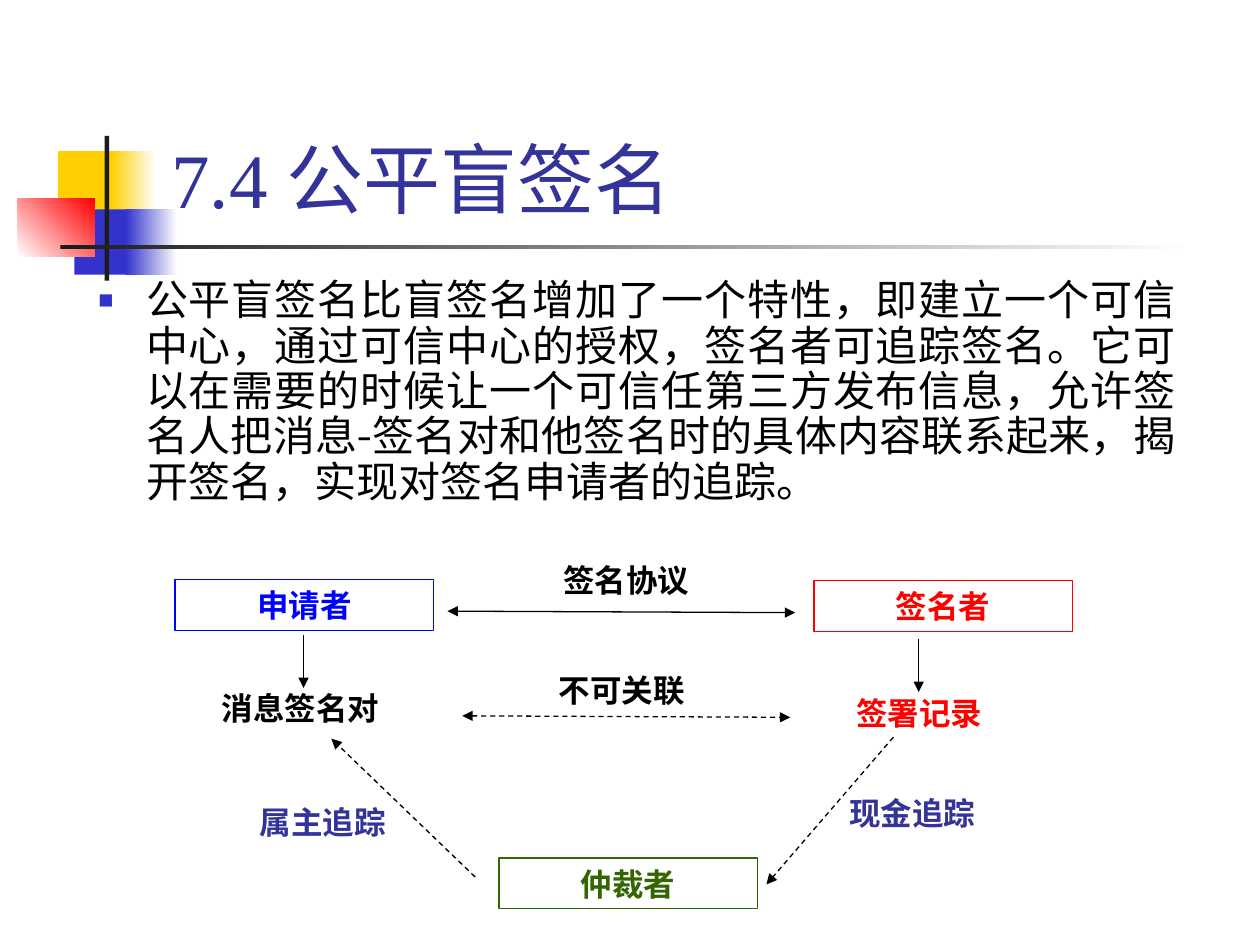
import pptx
import pptx.dml.color
import pptx.enum.dml
import pptx.enum.shapes
import pptx.enum.text
import pptx.oxml
import pptx.oxml.ns
import pptx.util
from lxml import etree

Cm, Pt = pptx.util.Cm, pptx.util.Pt
qn = pptx.oxml.ns.qn
ALIGN = pptx.enum.text.PP_ALIGN
ANCHOR = pptx.enum.text.MSO_ANCHOR
AUTOSIZE = pptx.enum.text.MSO_AUTO_SIZE
RECTANGLE = pptx.enum.shapes.MSO_SHAPE.RECTANGLE

INDIGO, BLACK, WHITE, RED = "333399", "000000", "FFFFFF", "FF0000"
YELLOW, BLUE, CHARCOAL = "FFCF01", "3333CC", "1C1C1C"
SERIF, SANS, KARLA = "Times New Roman", "Arial", "Karla"


def colour(value):
    """Turn a hex string into a colour."""
    return pptx.dml.color.RGBColor.from_string(value)


def place(part, box):
    """Move a part to a (left, top, width, height) box in cm."""
    part.left, part.top, part.width, part.height = map(Cm, box)


def add_run(paragraph, text, font, size, hue, bold=False):
    """Add one formatted run."""
    run = paragraph.add_run()
    run.text = text
    run.font.name, run.font.size, run.font.bold = font, Pt(size), bold
    run.font.color.rgb = colour(hue)


def add_panel(slide, box):
    """Add a rectangle without shadow or line."""
    panel = slide.shapes.add_shape(RECTANGLE, *map(Cm, box))
    panel.shadow.inherit = False
    panel.line.fill.background()
    return panel


def fill_ornament(panel, hues, angle):
    """Fill a panel with one colour or with a two-colour gradient."""
    if len(hues) == 1:
        panel.fill.solid()
        panel.fill.fore_color.rgb = colour(hues[0])
        return
    panel.fill.gradient()
    panel.fill.gradient_angle = angle
    for stop, hue, position in zip(panel.fill.gradient_stops, hues, (0, 1)):
        stop.color.rgb = colour(hue)
        stop.position = position


def add_ornament(slide, left, top):
    """Draw the coloured squares and the two rules beside the title."""
    ornaments = [
        ((0.81, 0.31, 1.22, 1.32), (YELLOW,), 0),
        ((1.88, 0.31, 0.91, 1.32), (YELLOW, WHITE), 0),
        ((1.14, 1.48, 1.17, 1.32), (BLUE,), 0),
        ((2.18, 1.48, 1.02, 1.32), (BLUE, WHITE), 0),
        ((0, 1.27, 1.55, 1.17), (WHITE, RED), 45),
        ((1.75, 0, 0.09, 2.92), (CHARCOAL,), 0),
        ((0.86, 2.2, 22.86, 0.09), (CHARCOAL, WHITE), 0),
    ]
    for (x, y, width, height), hues, angle in ornaments:
        panel = add_panel(slide, (left + x, top + y, width, height))
        fill_ornament(panel, hues, angle)


def add_title(slide, box):
    """Set the heading in the title placeholder."""
    heading = slide.shapes.title
    place(heading, box)
    frame = heading.text_frame
    frame.auto_size = AUTOSIZE.NONE
    frame.vertical_anchor = ANCHOR.BOTTOM
    frame.paragraphs[0].alignment = ALIGN.LEFT
    add_run(frame.paragraphs[0], "7.4 公平盲签名", SERIF, 44, INDIGO)


def add_definition(slide, box):
    """Set the bulleted definition in the body placeholder."""
    definition = slide.placeholders[1]
    place(definition, box)
    definition.text_frame.auto_size = AUTOSIZE.NONE
    paragraph = definition.text_frame.paragraphs[0]
    paragraph.alignment = ALIGN.JUSTIFY
    paragraph.line_spacing = 0.9
    paragraph.space_before = Pt(6)
    add_run(
        paragraph,
        "公平盲签名比盲签名增加了一个特性，即建立一个可信中心，"
        "通过可信中心的授权，签名者可追踪签名。它可以在需要的时候"
        "让一个可信任第三方发布信息，允许签名人把消息-签名对和他"
        "签名时的具体内容联系起来，揭开签名，实现对签名申请者的追踪。",
        KARLA, 24, BLACK,
    )
    properties = paragraph._p.get_or_add_pPr()
    properties.set("marL", str(Cm(0.96)))
    properties.set("indent", str(-Cm(0.96)))
    bullet_hue = etree.SubElement(properties, qn("a:buClr"))
    etree.SubElement(bullet_hue, qn("a:srgbClr")).set("val", BLUE)
    etree.SubElement(properties, qn("a:buSzPct")).set("val", "60000")
    etree.SubElement(properties, qn("a:buFont")).set("typeface", SANS)
    etree.SubElement(properties, qn("a:buChar")).set("char", "■")


def write_label(part, text, hue, font=SERIF, inset=True):
    """Write a bold label: centred with insets, or flush left without."""
    frame = part.text_frame
    frame.word_wrap = True
    frame.auto_size = AUTOSIZE.SHAPE_TO_FIT_TEXT
    frame.vertical_anchor = ANCHOR.TOP
    frame.margin_left = frame.margin_right = Cm(0.25 if inset else 0)
    frame.margin_top = frame.margin_bottom = Cm(0.13 if inset else 0)
    paragraph = frame.paragraphs[0]
    paragraph.alignment = ALIGN.CENTER if inset else ALIGN.LEFT
    if inset:
        paragraph.space_before = Pt(11.2)
    add_run(paragraph, text, font, 18, hue, bold=True)


def add_arrow(slide, start, end, dashed=False, both=False):
    """Draw a thin arrow between two points in cm."""
    arrow = slide.shapes.add_connector(
        pptx.enum.shapes.MSO_CONNECTOR.STRAIGHT, *map(Cm, start + end))
    arrow.line.width = Pt(0.74)
    arrow.line.color.rgb = colour(BLACK)
    if dashed:
        arrow.line.dash_style = pptx.enum.dml.MSO_LINE.DASH
    outline = arrow.line._get_or_add_ln()
    for end_tag in ("a:headEnd", "a:tailEnd") if both else ("a:tailEnd",):
        etree.SubElement(outline, qn(end_tag)).set("type", "triangle")
    etree.SubElement(arrow._element.spPr, qn("a:effectLst"))


def add_protocol(slide, left, top):
    """Draw the parties, their records and the tracing arrows."""
    parties = [
        ("申请者", 1.8, 0.51, "0000FF"),
        ("仲裁者", 8.33, 6.12, "336600"),
        ("签名者", 14.68, 0.53, RED),
    ]
    for name, x, y, hue in parties:
        party = add_panel(slide, (left + x, top + y, 5.21, 1.02))
        party.fill.background()
        party.line.color.rgb = colour(hue)
        party.line.width = Pt(0.74)
        write_label(party, name, hue)

    labels = [
        ("消息签名对 ", (0, 2.59, 8.81, 1.02), BLACK, KARLA, True),
        ("签署记录", (12.4, 2.69, 8.81, 1.02), RED, SERIF, True),
        ("不可关联", (8, 2.21, 5.6, 1.02), BLACK, SERIF, True),
        ("签名协议", (8.1, 0, 5.6, 1.02), BLACK, SERIF, True),
        ("属主追踪", (3.51, 5, 6.96, 1.52), INDIGO, SANS, False),
        ("现金追踪", (15.39, 4.83, 7.98, 0.76), INDIGO, SANS, False),
    ]
    for text, (x, y, width, height), hue, font, inset in labels:
        label = slide.shapes.add_textbox(
            *map(Cm, (left + x, top + y, width, height)))
        write_label(label, text, hue, font, inset)

    arrows = [
        ((7.29, 1.14), (14.3, 1.17), False, True),
        ((7.59, 3.25), (14.2, 3.28), True, True),
        ((4.39, 1.63), (4.39, 2.69), False, False),
        ((16.79, 1.7), (16.79, 2.77), False, False),
        ((7.85, 6.5), (4.95, 3.71), True, False),
        ((16.28, 3.68), (13.72, 6.65), True, False),
    ]
    for (x1, y1), (x2, y2), dashed, both in arrows:
        add_arrow(slide, (left + x1, top + y1), (left + x2, top + y2),
                  dashed, both)


deck = pptx.Presentation()
deck.slide_width, deck.slide_height = Cm(25.4), Cm(19.05)
signature_slide = deck.slides.add_slide(deck.slide_layouts[1])
add_ornament(signature_slide, 0.36, 2.74)
add_title(signature_slide, (3.2, 0.58, 21.64, 4.06))
add_definition(signature_slide, (1.73, 5.51, 22.23, 5.89))
add_protocol(signature_slide, 1.73, 11.18)
deck.save("out.pptx")
